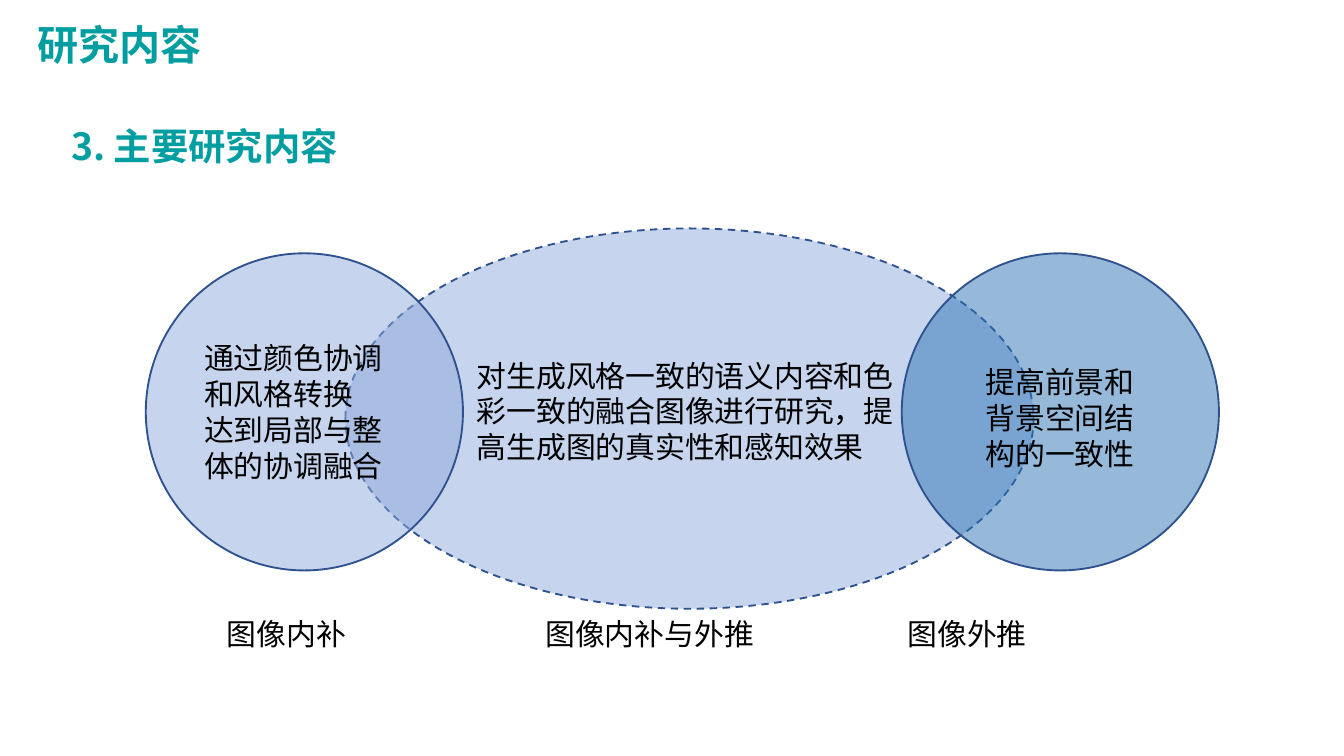
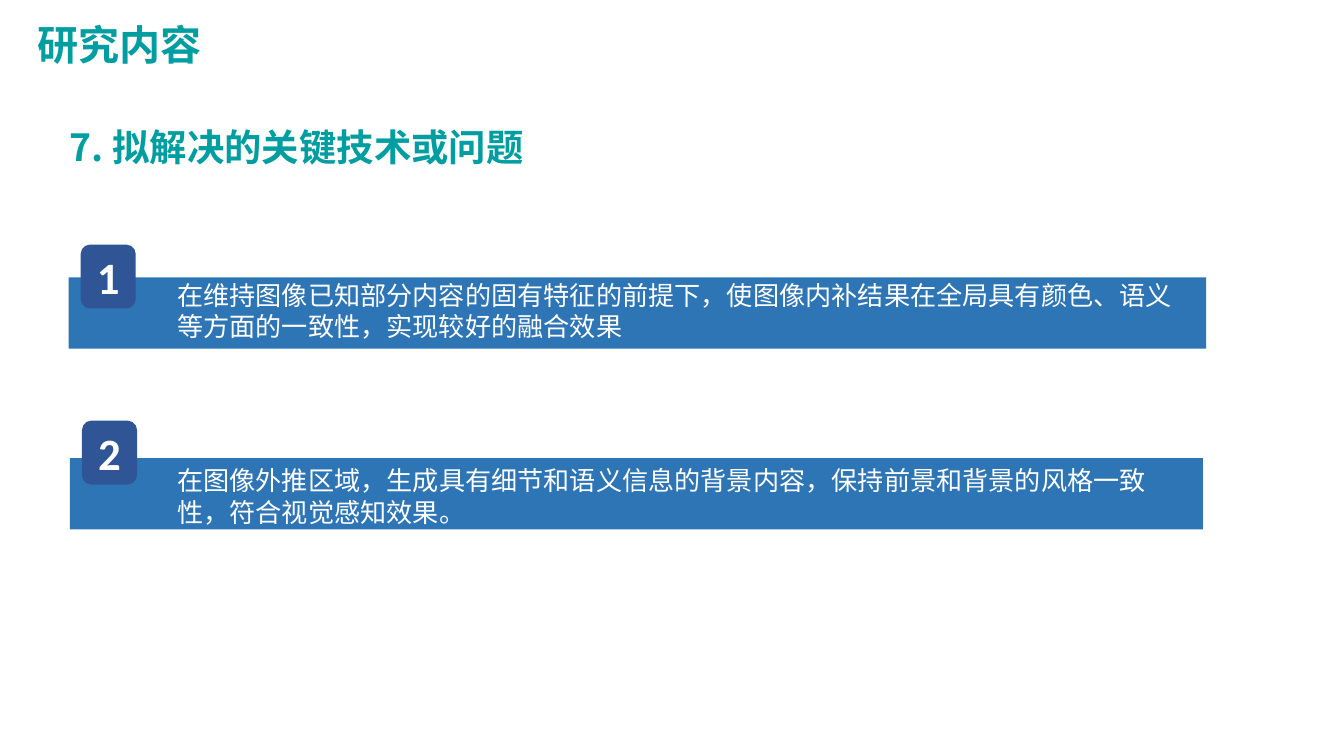
import pptx
import pptx.util
import pptx.dml.color
import pptx.enum.dml
import pptx.enum.shapes
import pptx.enum.text
import pptx.oxml.ns
import lxml.etree

COLOURS = {
    "teal": "009EA1",
    "pale": "8FAADC",
    "blue": "2E75B6",
    "navy": "2F5597",
    "outline": "2F528F",
    "black": "000000",
    "white": "FFFFFF",
}
LATIN = "Calibri"
CHINESE = "Noto Sans CJK SC"
qn = pptx.oxml.ns.qn
Align = pptx.enum.text.PP_ALIGN
Shape = pptx.enum.shapes.MSO_SHAPE

deck = pptx.Presentation()
deck.slide_width = pptx.util.Inches(10)
deck.slide_height = deck.slide_width * 9 // 16
UNIT = deck.slide_width / 100


def add_text(page, area, lines, size, colour, font=LATIN, bold=False, wrap=True, tabs=()):
    box = page.shapes.add_textbox(*[round(length * UNIT) for length in area])
    frame = box.text_frame
    frame.word_wrap = wrap
    frame.auto_size = pptx.enum.text.MSO_AUTO_SIZE.SHAPE_TO_FIT_TEXT
    for index, line in enumerate(lines):
        para = frame.add_paragraph() if index else frame.paragraphs[0]
        if tabs:
            stops = lxml.etree.SubElement(para._p.get_or_add_pPr(), qn("a:tabLst"))
            for stop in tabs:
                lxml.etree.SubElement(stops, qn("a:tab"), pos=str(round(stop * UNIT)), algn="l")
        span = para.add_run()
        span.text = line
        span.font.size = pptx.util.Pt(size)
        span.font.bold = bold
        span.font.color.rgb = pptx.dml.color.RGBColor.from_string(COLOURS[colour])
        span.font.name = font
        lxml.etree.SubElement(span._r.get_or_add_rPr(), qn("a:ea"), typeface=CHINESE)
    return box


def add_filled(page, kind, area, colour):
    shape = page.shapes.add_shape(kind, *[round(length * UNIT) for length in area])
    shape.shadow.inherit = False
    shape.fill.solid()
    shape.fill.fore_color.rgb = pptx.dml.color.RGBColor.from_string(COLOURS[colour])
    shape.line.fill.background()
    return shape


pages = []
for heading, area in (
    ("3. 主要研究内容", (4.3, 7, 92.5, 6)),
    ("7. 拟解决的关键技术或问题", (4.2, 7.05, 41.8, 6)),
):
    page = deck.slides.add_slide(deck.slide_layouts[6])
    add_text(page, (1.8, 0.95, 14.2, 4.7), ["研究内容"], 22, "teal", CHINESE, True, wrap=False)
    box = add_text(page, area, [heading], 20, "teal", CHINESE, True)
    para = box.text_frame.paragraphs[0]
    para.alignment = Align.JUSTIFY
    para.line_spacing = 1.5
    para.space_after = pptx.util.Pt(12)
    pages.append(page)
content_page, problem_page = pages

CIRCLE = 23.6
ovals = [
    ((25.7, 17, 51.2, 28.3), "pale", True),
    ((67.1, 18.85, CIRCLE, CIRCLE), "blue", False),
    ((10.85, 18.85, CIRCLE, CIRCLE), "pale", False),
]
for area, colour, dashed in ovals:
    oval = add_filled(content_page, Shape.OVAL, area, colour)
    fill_colour = oval._element.spPr.find(qn("a:solidFill"))[0]
    lxml.etree.SubElement(fill_colour, qn("a:alpha"), val="50000")
    oval.line.color.rgb = pptx.dml.color.RGBColor.from_string(COLOURS["outline"])
    oval.line.width = pptx.util.Pt(1)
    if dashed:
        oval.line.dash_style = pptx.enum.dml.MSO_LINE.DASH

explanations = [
    ((14.2, 24.8, 16.9, 11.7), ["通过颜色协调和风格转换", "达到局部与整体的协调融合"]),
    ((72.35, 26.6, 14, 9), ["提高前景和背景空间结构的一致性"]),
    ((34.5, 26.1, 34.7, 9), ["对生成风格一致的语义内容和色彩一致的融合图像进行研究，提高生成图的真实性和感知效果"]),
]
for area, lines in explanations:
    add_text(content_page, area, lines, 16, "black")
add_text(content_page, (12.9, 45.3, 77.8, 3.7), ["\t图像内补\t图像内补与外推\t图像外推"],
         16, "black", tabs=(3, 26.7, 53.65))

problems = [
    ((5.1, 20.65, 84.65, 5.3), (6, 18.2), (12.2, 20.3, 77.3, 5.7),
     "在维持图像已知部分内容的固有特征的前提下，使图像内补结果在全局具有颜色、语义等方面的一致性，实现较好的融合效果"),
    ((5.2, 34.1, 84.3, 5.3), (6.1, 31.3), (12.2, 34.1, 75.8, 5.7),
     "在图像外推区域，生成具有细节和语义信息的背景内容，保持前景和背景的风格一致性，符合视觉感知效果。"),
]
for number, (bar, corner, area, problem) in enumerate(problems, 1):
    add_filled(problem_page, Shape.RECTANGLE, bar, "blue")
    add_text(problem_page, area, [problem], 14, "white")
    badge = add_filled(problem_page, Shape.ROUNDED_RECTANGLE, (*corner, 4.1, 4.75), "navy")
    badge.adjustments[0] = 0.17
    frame = badge.text_frame
    frame.word_wrap = False
    frame.vertical_anchor = pptx.enum.text.MSO_ANCHOR.MIDDLE
    para = frame.paragraphs[0]
    para.alignment = Align.CENTER
    span = para.add_run()
    span.text = str(number)
    span.font.size = pptx.util.Pt(24)
    span.font.bold = True
    span.font.name = LATIN
    span.font.color.rgb = pptx.dml.color.RGBColor.from_string(COLOURS["white"])

deck.save("out.pptx")
